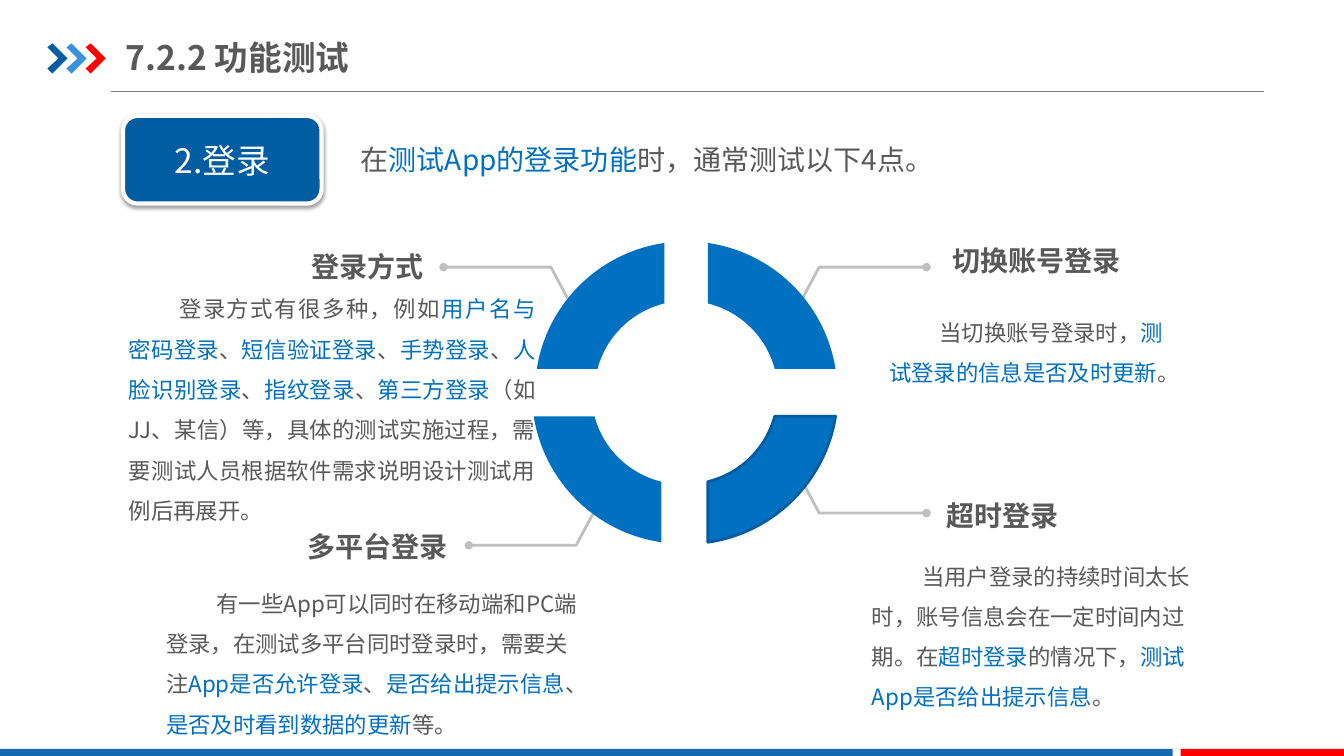
import math

import pptx
import pptx.dml.color
import pptx.enum.shapes
import pptx.enum.text
import pptx.oxml
import pptx.oxml.ns
import pptx.util

Inches = pptx.util.Inches
Align = pptx.enum.text.PP_ALIGN
Anchor = pptx.enum.text.MSO_ANCHOR
Preset = pptx.enum.shapes.MSO_SHAPE
FONT = "Noto Sans CJK SC"
GREY, BLUE, NAVY, RED, SILVER, WHITE = "595959", "0070C0", "005DA2", "FF0000", "C0C0C0", "FFFFFF"
INSETS = (0.1, 0.05, 0.1, 0.05)
NO_INSETS = (0, 0, 0, 0)


def color(value):
    return pptx.dml.color.RGBColor.from_string(value)


def element(xml):
    return pptx.oxml.parse_xml(xml.replace(">", f" {pptx.oxml.ns.nsdecls('a')}>", 1))


def paint(shape, fill=None, line=None, width=0):
    shape.shadow.inherit = False
    if fill:
        shape.fill.solid()
        shape.fill.fore_color.rgb = color(fill)
    else:
        shape.fill.background()
    if line:
        shape.line.color.rgb = color(line)
        shape.line.width = pptx.util.Pt(width)
    else:
        shape.line.fill.background()


def write(shape, text, size, shade=GREY, bold=False, align=Align.LEFT, spacing=None,
          indent=0, anchor=Anchor.TOP, insets=INSETS, wrap=True, grow=False):
    frame = shape.text_frame
    frame.word_wrap = wrap
    frame.vertical_anchor = anchor
    frame.margin_left, frame.margin_top, frame.margin_right, frame.margin_bottom = map(Inches, insets)
    if grow:
        frame.auto_size = pptx.enum.text.MSO_AUTO_SIZE.SHAPE_TO_FIT_TEXT
    paragraph = frame.paragraphs[0]
    paragraph.alignment = align
    if spacing:
        paragraph.line_spacing = spacing
    if indent:
        properties = paragraph._p.get_or_add_pPr()
        properties.set("marL", "0")
        properties.set("indent", str(Inches(indent)))
    for index, part in enumerate(text.split("|")):
        run = paragraph.add_run()
        run.text = part
        run.font.size = pptx.util.Pt(size)
        run.font.bold = bold
        run.font.color.rgb = color(BLUE if index % 2 else shade)
        run.font.name = FONT
        run._r.get_or_add_rPr().append(element(f'<a:ea typeface="{FONT}"></a:ea>'))


def add_text(slide, box, text, size, **options):
    write(slide.shapes.add_textbox(*map(Inches, box)), text, size, **options)


def add_outline(slide, points, close=True):
    start, *others = [(Inches(x), Inches(y)) for x, y in points]
    builder = slide.shapes.build_freeform(*start, scale=1.0)
    builder.add_line_segments(others, close=close)
    return builder.convert_to_shape()


def bend(outline, first_segments):
    segments = list(outline._element.iter(pptx.oxml.ns.qn("a:lnTo")))
    for first in first_segments:
        curve = element("<a:cubicBezTo></a:cubicBezTo>")
        segments[first].addprevious(curve)
        for segment in segments[first:first + 3]:
            curve.append(segment[0])
            segment.getparent().remove(segment)


def add_header(slide, box):
    left, top, width, height = box
    rule = slide.shapes.add_connector(
        pptx.enum.shapes.MSO_CONNECTOR.STRAIGHT, Inches(left + 0.63), Inches(top + height),
        Inches(left + width), Inches(top + height))
    rule.line.color.rgb = color("808080")
    rule.line.width = pptx.util.Pt(0.75)
    rule._element.spPr.append(element("<a:effectLst></a:effectLst>"))
    chevron = [(0, 0.04), (0.05, 0), (0.2, 0.15), (0.05, 0.3), (0, 0.25), (0.11, 0.15)]
    for index, shade in enumerate((NAVY, "3992DB", RED)):
        points = [(left + index * 0.19 + x, top + 0.14 + y) for x, y in chevron]
        paint(add_outline(slide, points), shade)
    add_text(slide, (left + 0.78, top, 4.26, 0.55), "7.2.2 功能测试", 24, bold=True,
             anchor=Anchor.MIDDLE, insets=(0, 0.07, 0, 0.07))


def add_footer(slide, box):
    left, top, width, height = box
    red_width = 1.63
    blue_width = width - red_width - 0.08
    for x, bar_width, shade in ((left, blue_width, "1369B2"), (left + width - red_width, red_width, RED)):
        bar = slide.shapes.add_shape(Preset.RECTANGLE, *map(Inches, (x, top, bar_width, height)))
        paint(bar, shade)


def add_lead(slide, box):
    left, top, width, height = box
    badge = slide.shapes.add_shape(Preset.ROUNDED_RECTANGLE, *map(Inches, (left, top, 1.97, height)))
    paint(badge, NAVY, WHITE, 3)
    badge._element.spPr.find(pptx.oxml.ns.qn("a:effectLst")).append(element(
        '<a:outerShdw blurRad="39370" dist="20320" dir="5400000" rotWithShape="0">'
        '<a:srgbClr val="000000"><a:alpha val="38000"/></a:srgbClr></a:outerShdw>'))
    write(badge, "2.登录", 24, shade=WHITE, align=Align.CENTER, anchor=Anchor.MIDDLE)
    add_text(slide, (left + 2.26, top + 0.05, width - 2.26, 0.61),
             "在|测试App的登录功能|时，通常测试以下4点。", 20, spacing=1.5, grow=True)


def arc(radius, gap_x, gap_y):
    first = math.asin(gap_y / radius)
    last = math.acos(gap_x / radius)
    reach = radius * 4 / 3 * math.tan((last - first) / 4)
    start_x, start_y = radius * math.cos(first), gap_y
    end_x, end_y = gap_x, radius * math.sin(last)
    return [(start_x, start_y),
            (start_x - reach * math.sin(first), start_y + reach * math.cos(first)),
            (end_x + reach * math.sin(last), end_y - reach * math.cos(last)),
            (end_x, end_y)]


def add_ring(slide, box):
    left, top, width, height = box
    center_x, center_y = left + width / 2, top + height / 2
    outer, inner = width / 2, 0.91
    gap_x, gap_y = 0.215, 0.235
    segment = arc(outer, gap_x, gap_y) + arc(inner, gap_x, gap_y)[::-1]
    for side_x, side_y, shift, border in ((-1, -1, 0, None), (1, -1, 0, None),
                                          (-1, 1, -0.03, None), (1, 1, 0, NAVY)):
        points = [(center_x + shift + side_x * x, center_y + side_y * y) for x, y in segment]
        quarter = add_outline(slide, points)
        bend(quarter, (0, 4))
        paint(quarter, BLUE, border, 2)


def add_leader(slide, start, side_x, side_y):
    x, y = start
    end_y = y + side_y * 0.31
    points = [start, (x + side_x * 0.165, end_y), (x + side_x * 1.23, end_y)]
    leader = add_outline(slide, points, close=False)
    paint(leader, None, SILVER, 2)
    leader.line._get_or_add_ln().append(element('<a:tailEnd type="oval"></a:tailEnd>'))


def add_topic(slide, heading_box, heading, heading_style, body_box, body, align=Align.LEFT):
    add_text(slide, heading_box, heading, 20, bold=True, **heading_style)
    add_text(slide, body_box, body, 16, spacing=1.5, indent=0.5, align=align, grow=True)


def main():
    presentation = pptx.Presentation()
    presentation.slide_width = Inches(13.33)
    presentation.slide_height = Inches(7.5)
    slide = presentation.slides.add_slide(presentation.slide_layouts[6])

    add_header(slide, (0.47, 0.29, 12.07, 0.62))
    add_footer(slide, (0, 7.43, 13.34, 0.09))
    add_lead(slide, (1.22, 1.15, 8.15, 0.87))
    for start, side_x, side_y in (((5.63, 2.96), -1, -1), ((7.96, 2.96), 1, -1),
                                  ((5.88, 5.1), -1, 1), ((7.96, 4.78), 1, 1)):
        add_leader(slide, start, side_x, side_y)
    add_ring(slide, (5.305, 2.395, 3, 3))

    right_edge = dict(align=Align.RIGHT, spacing=1.2, anchor=Anchor.BOTTOM, insets=NO_INSETS)
    left_edge = dict(right_edge, align=Align.LEFT)
    add_topic(slide, (2.97, 2.37, 1.23, 0.44), "登录方式", right_edge, (1.18, 2.75, 4.23, 2.52),
              "登录方式有很多种，例如|用户名与密码登录|、|短信验证登录|、|手势登录|、|人脸识别登录|、"
              "|指纹登录|、|第三方登录|（如JJ、某信）等，具体的测试实施过程，"
              "需要测试人员根据软件需求说明设计测试用例后再展开。", Align.JUSTIFY)
    add_topic(slide, (9.35, 2.37, 1.88, 0.44), "切换账号登录", dict(wrap=False, grow=True),
              (8.72, 2.98, 2.98, 0.86),
              "当切换账号登录时，|测试登录的信息是否及时更新|。")
    add_topic(slide, (2.97, 5.16, 1.47, 0.43), "多平台登录", right_edge, (1.55, 5.67, 4.29, 1.72),
              "有一些App可以同时在移动端和PC端登录，在测试多平台同时登录时，需要关注"
              "|App是否允许登录|、|是否给出提示信息|、|是否及时看到数据的更新|等。")
    add_topic(slide, (9.39, 4.82, 1.27, 0.46), "超时登录", left_edge, (8.55, 5.4, 3.5, 1.72),
              "当用户登录的持续时间太长时，账号信息会在一定时间内过期。在|超时登录|的情况下，"
              "|测试App是否给出提示信息|。")
    presentation.save("out.pptx")


if __name__ == "__main__":
    main()
